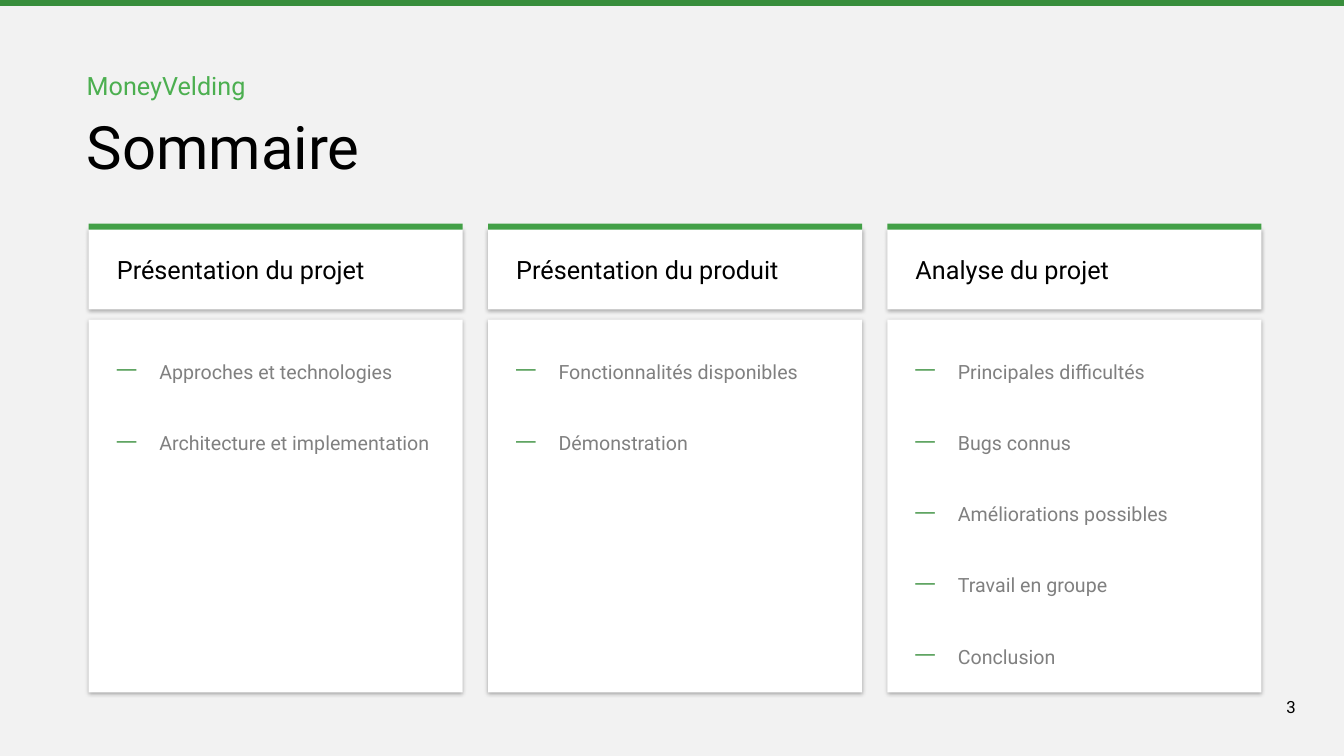
import pptx
import pptx.util
import pptx.dml.color
import pptx.enum.shapes
import pptx.enum.text
import pptx.oxml
import pptx.oxml.ns

Inches = pptx.util.Inches
Pt = pptx.util.Pt
RGBColor = pptx.dml.color.RGBColor
ANCHOR = pptx.enum.text.MSO_ANCHOR
ALIGN = pptx.enum.text.PP_ALIGN

FONT = "Roboto"
BACKGROUND = RGBColor(0xF2, 0xF2, 0xF2)
WHITE = RGBColor(0xFF, 0xFF, 0xFF)
BLACK = RGBColor(0, 0, 0)
GRAY = RGBColor(0x80, 0x80, 0x80)
DARK_GREEN = RGBColor(0x38, 0x8E, 0x3C)
GREEN = RGBColor(0x43, 0xA0, 0x47)
LIGHT_GREEN = RGBColor(0x4C, 0xAF, 0x50)
NS = pptx.oxml.ns.nsdecls("a")
SHADOW = (f'<a:outerShdw {NS} blurRad="38100" dist="12700" dir="5400000" algn="t" rotWithShape="0">'
          '<a:srgbClr val="000000"><a:alpha val="30000"/></a:srgbClr></a:outerShdw>')
BULLET = (f'<a:buClr {NS}><a:srgbClr val="{DARK_GREEN}"/></a:buClr>', f'<a:buChar {NS} char="—"/>')

COLUMNS = [
    ("Présentation du projet", ["Approches et technologies", "Architecture et implementation"]),
    ("Présentation du produit", ["Fonctionnalités disponibles", "Démonstration"]),
    ("Analyse du projet", ["Principales difficultés", "Bugs connus", "Améliorations possibles",
                           "Travail en groupe", "Conclusion"]),
]


def add_box(x, y, w, h, color, shadow=False):
    sp = s.shapes.add_shape(pptx.enum.shapes.MSO_SHAPE.RECTANGLE,
                            Inches(x), Inches(y), Inches(w), Inches(h))
    sp.fill.solid()
    sp.fill.fore_color.rgb = color
    sp.line.fill.background()
    sp.shadow.inherit = False
    if shadow:
        effects = sp._element.spPr.find(pptx.oxml.ns.qn("a:effectLst"))
        effects.append(pptx.oxml.parse_xml(SHADOW))
    return sp


def write(p, text, size, color, align=ALIGN.LEFT):
    p.text = text
    p.alignment = align
    p.font.name = FONT
    p.font.size = Pt(size)
    p.font.color.rgb = color


prs = pptx.Presentation()
prs.slide_width = Inches(13.33)
prs.slide_height = Inches(7.5)
s = prs.slides.add_slide(prs.slide_layouts[5])
s.background.fill.solid()
s.background.fill.fore_color.rgb = BACKGROUND
add_box(0, 0, 13.33, 0.06, DARK_GREEN)

title = s.shapes.title
title.left, title.top = Inches(0.76), Inches(0.65)
title.width, title.height = Inches(8.21), Inches(1.16)
tf = title.text_frame
tf.vertical_anchor = ANCHOR.TOP
tf.auto_size = pptx.enum.text.MSO_AUTO_SIZE.NONE
write(tf.paragraphs[0], "MoneyVelding", 18, LIGHT_GREEN)
p = tf.add_paragraph()
write(p, "Sommaire", 42.7, BLACK)
p.space_before = Pt(6.7)

for i, (heading, topics) in enumerate(COLUMNS):
    x = 0.88 + 3.96 * i
    header = add_box(x, 2.27, 3.71, 0.8, WHITE, shadow=True)
    tf = header.text_frame
    tf.margin_left = Inches(0.28)
    tf.vertical_anchor = ANCHOR.MIDDLE
    write(tf.paragraphs[0], heading, 18, BLACK)
    add_box(x, 2.22, 3.71, 0.06, GREEN)

    card = add_box(x, 3.17, 3.71, 3.7, WHITE, shadow=True)
    tf = card.text_frame
    tf.margin_left = tf.margin_right = tf.margin_top = tf.margin_bottom = Inches(0.28)
    tf.vertical_anchor = ANCHOR.TOP
    for j, topic in enumerate(topics):
        p = tf.add_paragraph() if j else tf.paragraphs[0]
        write(p, topic, 14, GRAY)
        p.line_spacing = 1.5
        p.space_before = Pt(25.7 if j else 0)
        pPr = p._p.get_or_add_pPr()
        pPr.set("marL", str(Inches(0.42)))
        pPr.set("indent", str(-Inches(0.42)))
        for k, xml in enumerate(BULLET):
            pPr.insert(2 + k, pptx.oxml.parse_xml(xml))

number = s.shapes.add_textbox(Inches(12.51), Inches(6.81), Inches(0.44), Inches(0.4))
tf = number.text_frame
tf.word_wrap = True
tf.vertical_anchor = ANCHOR.MIDDLE
write(tf.paragraphs[0], "3", 12, BLACK, ALIGN.RIGHT)

prs.save("out.pptx")
